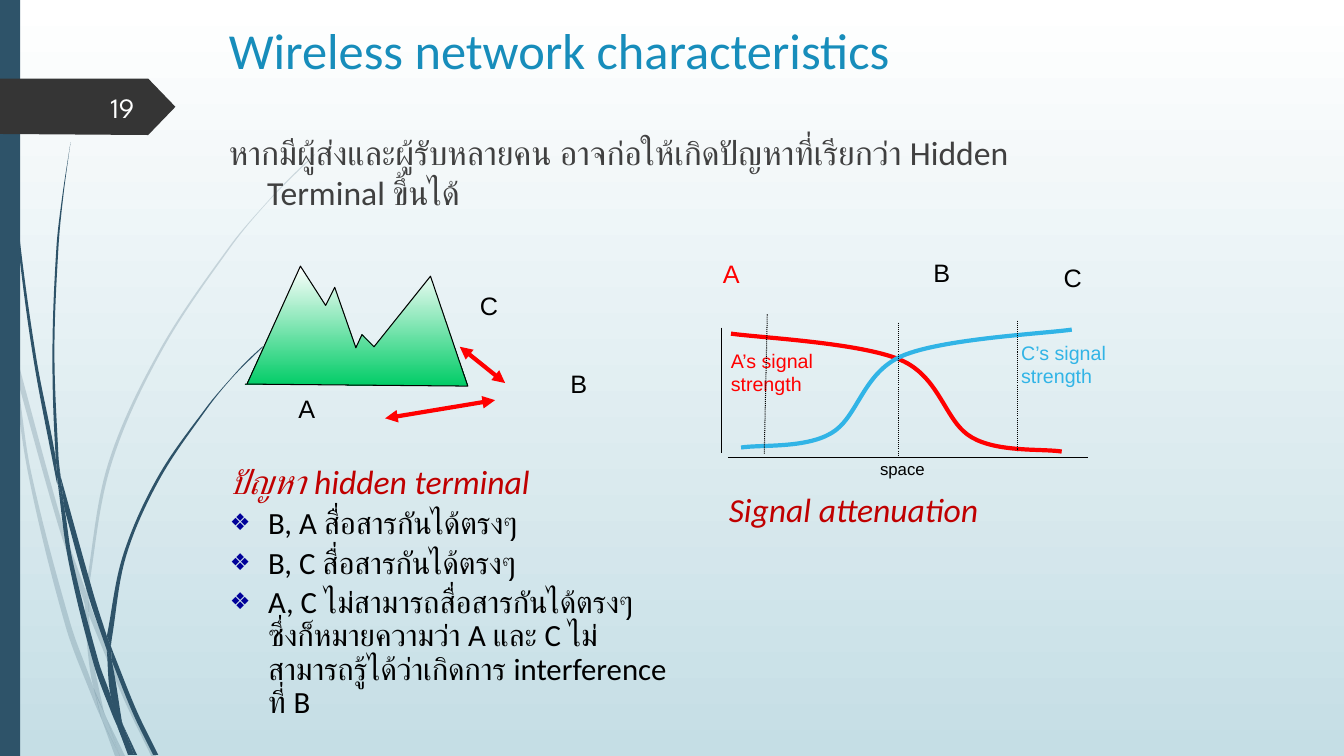
from math import dist

from lxml.etree import SubElement
from pptx import Presentation
from pptx.dml.color import RGBColor
from pptx.enum.dml import MSO_LINE
from pptx.enum.shapes import MSO_CONNECTOR, MSO_SHAPE
from pptx.enum.text import MSO_ANCHOR, MSO_AUTO_SIZE, PP_ALIGN
from pptx.oxml.ns import qn
from pptx.util import Inches, Pt

BLACK, RED, CRIMSON, SKY, NAVY = "000000", "FF0000", "C00000", "31B4E6", "2E5369"
HANGING = 0.38

PALE_STRANDS = [
    ([(0.11, 3.5), (0.09, 3.22), (0, 2.82)], [(0, 2.99), (0.1, 3.44), (0.11, 3.5)]),
    ([(0.14, 3.45), (0.62, 5.2), (0.85, 5.86)], [(0.84, 5.99), (0.58, 5.22), (0.17, 3.76)]),
    ([(0.88, 5.96), (0.92, 6.07), (1.27, 6.92), (1.55, 7.5)], [(1.5, 7.5), (1.23, 6.94), (0.88, 6.1)]),
    ([(1.05, 7.11), (1.24, 7.5)], [(1.19, 7.5), (1.05, 7.11)]),
    ([(0.11, 3.5), (0.17, 3.76), (0.31, 4.69), (0.7, 6.19), (0.93, 6.83), (1.01, 7.14)],
     [(1.01, 7.14), (0.92, 6.93), (0.65, 6.21), (0.28, 4.7), (0.11, 3.5)]),
    ([(0.84, 5.99), (0.87, 6.46), (0.93, 6.83), (1.05, 7.11)],
     [(1.05, 7.11), (1.03, 7.06), (0.91, 6.46), (0.88, 6.1), (0.84, 5.99)]),
    ([(3.12, 1.53), (2.89, 1.75), (2.68, 1.97), (2.28, 2.44), (1.58, 3.48), (1.07, 4.61), (0.85, 5.84)],
     [(0.88, 5.96), (0.88, 5.84), (1.1, 4.62), (1.6, 3.49), (2.29, 2.45), (2.68, 1.98), (3.12, 1.54)]),
    ([(1.01, 7.14), (1.14, 7.5)], [(1.19, 7.5), (1.01, 7.14)]),
    ([(0.88, 6.1), (0.88, 5.96), (0.85, 5.86)], [(0.84, 5.99), (0.88, 6.08)]),
    ([(0.93, 6.83), (0.99, 7.07), (1.01, 7.14), (1.19, 7.5)], [(1.19, 7.5), (1.05, 7.11), (0.93, 6.83)]),
]
DARK_STRANDS = [
    ([(0.04, 0), (0.05, 0.48), (0.08, 1.09), (0.19, 2.32), (0.36, 3.55), (0.55, 4.53), (0.57, 4.81)],
     [(0.56, 4.77), (0.33, 3.55), (0.17, 2.33), (0.07, 1.1), (0.04, 0.48), (0.03, 0)]),
    ([(0.6, 4.72), (0.93, 5.9), (1.06, 6.31)], [(1.06, 6.45), (0.88, 5.92), (0.64, 5.05)]),
    ([(1.1, 6.41), (1.13, 6.49), (1.36, 7.06), (1.57, 7.49)], [(1.52, 7.49), (1.32, 7.08), (1.11, 6.56)]),
    ([(0.57, 4.77), (0.64, 5.05), (0.72, 5.56), (0.98, 6.57), (1.1, 6.91), (1.17, 7.22)],
     [(1.17, 7.22), (1.11, 7.08), (0.93, 6.59), (0.68, 5.57), (0.57, 4.77)]),
    ([(0.7, 1.41), (0.62, 1.93), (0.56, 2.45), (0.52, 3.49), (0.55, 4.49), (0.6, 4.72)],
     [(0.6, 4.72), (0.58, 4.53), (0.54, 3.49), (0.58, 2.45), (0.63, 1.93), (0.7, 1.41)]),
    ([(1.22, 7.19), (1.36, 7.49)], [(1.33, 7.49), (1.22, 7.19)]),
    ([(0.57, 4.77), (0.64, 5.05)], [(0.6, 4.72), (0.55, 4.49)]),
    ([(2.6, 3.44), (2.45, 3.58), (2.31, 3.73), (2.04, 4.05), (1.56, 4.74), (1.22, 5.51), (1.06, 6.31)],
     [(1.1, 6.41), (1.11, 6.33), (1.25, 5.52), (1.58, 4.76), (2.05, 4.06), (2.31, 3.74), (2.61, 3.44)]),
    ([(1.17, 7.22), (1.27, 7.49)], [(1.31, 7.49), (1.17, 7.22)]),
    ([(1.06, 6.45), (1.1, 6.91), (1.22, 7.19)], [(1.21, 7.16), (1.11, 6.56), (1.06, 6.45)]),
    ([(1.06, 6.45), (1.11, 6.56)], [(1.1, 6.41), (1.06, 6.31)]),
    ([(1.1, 6.91), (1.17, 7.22), (1.3, 7.49)], [(1.33, 7.49), (1.22, 7.19), (1.1, 6.91)]),
]
TAG = [(0, 0.78), (1.47, 0.78), (1.74, 1.06), (1.47, 1.34), (0, 1.33)]
MOUNTAIN = [(2.45, 3.81), (2.98, 2.64), (3.23, 3.03), (3.32, 2.85), (3.53, 3.45), (3.59, 3.32),
            (3.71, 3.44), (4.27, 2.74), (4.64, 3.83), (2.43, 3.81)]
SIGNAL_A = [(7.25, 3.31), (7.53, 3.35), (8.53, 3.4), (8.93, 3.57), (9.33, 3.74), (9.37, 4.19),
            (9.64, 4.34), (9.9, 4.49), (10.34, 4.45), (10.53, 4.48)]
SIGNAL_C = [(17.88 - x, y - 0.04) for x, y in SIGNAL_A]


def rgb(value):
    """Return the colour for a hex string."""
    return RGBColor.from_string(value)


def smooth(anchors):
    """Return the Bezier control points of a smooth curve through the anchors."""
    padded = [anchors[0], *anchors, anchors[-1]]
    points = [anchors[0]]
    for a, b, c, d in zip(padded, padded[1:], padded[2:], padded[3:]):
        leave, arrive = dist(b, c) / 3 / dist(a, c), dist(b, c) / 3 / dist(b, d)
        points += [tuple(q + (r - p) * leave for p, q, r in zip(a, b, c)),
                   tuple(q - (r - p) * arrive for p, q, r in zip(b, c, d)), c]
    return points


def strand(outer, inner):
    """Return the control points of the outline between two edges."""
    join = [] if outer[-1] == inner[0] else [outer[-1], inner[0], inner[0]]
    return smooth(outer) + join + smooth(inner)[1:]


def fade(fill, top, bottom):
    """Fill with a gradient that runs downwards."""
    fill.gradient()
    fill.gradient_angle = 270
    for stop, colour in zip(fill.gradient_stops, (top, bottom)):
        stop.color.rgb = rgb(colour)


def paint(shape, fill=None, line=None, width=0.75, alpha=None):
    """Set fill, outline and opacity of a shape."""
    shape.shadow.inherit = False
    if fill:
        shape.fill.solid()
        shape.fill.fore_color.rgb = rgb(fill)
    else:
        shape.fill.background()
    if alpha:
        colour = shape.element.find(".//" + qn("a:srgbClr"))
        SubElement(colour, qn("a:alpha"), val=str(alpha * 1000))
    if line:
        shape.line.color.rgb = rgb(line)
        shape.line.width = Pt(width)
    else:
        shape.line.fill.background()


def add_outline(slide, points, close=True, curved=False, **look):
    """Draw a freeform through points, or with them as Bezier controls."""
    corners = [(Inches(x), Inches(y)) for x, y in points]
    builder = slide.shapes.build_freeform(*corners[0])
    builder.add_line_segments(corners[1:], close=close)
    shape = builder.convert_to_shape()
    if curved:
        segments = list(shape.element.iter(qn("a:lnTo")))
        for first, second, third in zip(segments[::3], segments[1::3], segments[2::3]):
            first.tag = qn("a:cubicBezTo")
            for segment in (second, third):
                first.append(segment[0])
                segment.getparent().remove(segment)
    paint(shape, **look)
    return shape


def add_line(slide, start, end, colour=BLACK, width=0.75, dash=None, arrows=False):
    """Draw a straight line, dotted or with two arrowheads if asked."""
    connector = slide.shapes.add_connector(MSO_CONNECTOR.STRAIGHT, *map(Inches, (*start, *end)))
    connector.line.color.rgb = rgb(colour)
    connector.line.width = Pt(width)
    if dash:
        connector.line.dash_style = dash
    properties = connector.element.spPr
    if arrows:
        for tag in ("a:headEnd", "a:tailEnd"):
            SubElement(properties.find(qn("a:ln")), qn(tag), type="triangle")
    SubElement(properties, qn("a:effectLst"))


def add_bullet(paragraph, symbol):
    """Give a paragraph a hanging indent and a bullet, or none."""
    properties = paragraph._p.get_or_add_pPr()
    properties.set("marL", str(Inches(HANGING)))
    properties.set("indent", str(-Inches(HANGING)))
    if symbol:
        SubElement(SubElement(properties, qn("a:buClr")), qn("a:srgbClr"), val="000099")
        SubElement(properties, qn("a:buSzPct"), val="75000")
        SubElement(properties, qn("a:buChar"), char=symbol)
    else:
        SubElement(properties, qn("a:buNone"))


def write(frame, text, size=18, font="Calibri", colour=BLACK, italic=False, align=PP_ALIGN.LEFT,
          hanging=False, bullet=None, spacing=1.0, before=0, more=False):
    """Write one paragraph per line of text into a frame."""
    for number, line in enumerate(text.split("\n")):
        first = number == 0 and not more
        paragraph = frame.paragraphs[0] if first else frame.add_paragraph()
        if hanging:
            add_bullet(paragraph, bullet)
        paragraph.alignment, paragraph.line_spacing = align, spacing
        paragraph.space_before = Pt(0 if first else before)
        run = paragraph.add_run()
        run.text = line
        run.font.size, run.font.name, run.font.italic = Pt(size), font, italic
        run.font.color.rgb = rgb(colour)


def add_text(slide, text, box, wrap=False, anchor=MSO_ANCHOR.TOP, **style):
    """Add a text box."""
    frame = slide.shapes.add_textbox(*map(Inches, box)).text_frame
    frame.word_wrap, frame.vertical_anchor = wrap, anchor
    write(frame, text, **style)


def place(placeholder, box):
    """Move a placeholder to the front at a box and return its text frame."""
    placeholder.left, placeholder.top, placeholder.width, placeholder.height = map(Inches, box)
    placeholder.element.getparent().append(placeholder.element)
    frame = placeholder.text_frame
    frame.word_wrap, frame.auto_size = True, MSO_AUTO_SIZE.NONE
    frame.vertical_anchor = MSO_ANCHOR.TOP
    return frame


def add_backdrop(slide):
    """Draw the background, the strands, the side bar and the number tag."""
    fade(slide.background.fill, "FFFFFF", "C5DEE5")
    for strands, alpha in ((PALE_STRANDS, 20), (DARK_STRANDS, None)):
        for edges in strands:
            add_outline(slide, strand(*edges), curved=True, fill=NAVY, alpha=alpha)
    bar = slide.shapes.add_shape(MSO_SHAPE.RECTANGLE, 0, 0, Inches(0.2), Inches(7.5))
    paint(bar, fill=NAVY)
    add_outline(slide, TAG, fill="353535")


def add_terminals(slide):
    """Draw the mountain between the terminals and their links."""
    mountain = add_outline(slide, MOUNTAIN, close=False, line=BLACK)
    fade(mountain.fill, "FFFFFF", "00CC66")
    for start, end in (((3.82, 4.15), (4.91, 3.97)), ((4.56, 3.44), (5.01, 3.8))):
        add_line(slide, start, end, RED, 3, arrows=True)
    for name, left, top in (("A", 2.86, 3.85), ("B", 5.56, 3.6), ("C", 4.66, 2.83)):
        add_text(slide, name, (left, top, 0.38, 0.4), font="Arial")


def add_attenuation(slide):
    """Draw the signal strength diagram."""
    for name, left, top, colour in (("A", 7.07, 2.51, RED), ("B", 9.16, 2.5, BLACK), ("C", 10.45, 2.55, BLACK)):
        add_text(slide, name, (left, top, 0.38, 0.4), font="Arial", colour=colour)
    add_line(slide, (7.22, 4.54), (10.79, 4.54))
    add_line(slide, (7.16, 3.25), (7.16, 4.49))
    add_text(slide, "space", (8.63, 4.5, 0.65, 0.3), size=12, font="Arial")
    for name, points, colour, left, top in (("A", SIGNAL_A, RED, 7.15, 3.41), ("C", SIGNAL_C, SKY, 10.03, 3.33)):
        add_outline(slide, points, close=False, curved=True, line=colour, width=3)
        add_text(slide, f"{name}’s signal\nstrength", (left, top, 1.1, 0.57), size=14, font="Arial", colour=colour)
    for start, end in (((7.61, 3.12), (7.58, 4.51)), ((8.91, 3.2), (8.91, 4.52)), ((10.09, 3.18), (10.09, 4.47))):
        add_line(slide, start, end, dash=MSO_LINE.ROUND_DOT)


def main():
    """Build the slide and save it."""
    presentation = Presentation()
    presentation.slide_width, presentation.slide_height = Inches(13.33), Inches(7.5)
    slide = presentation.slides.add_slide(presentation.slide_layouts[3])
    title, body, findings = slide.placeholders
    add_backdrop(slide)
    write(place(title, (2.17, 0.14, 8.5, 1.25)), "Wireless network characteristics", size=36, colour="178DBB")
    write(place(body, (2.17, 1.26, 8.5, 1.22)),
          "หากมีผู้ส่งและผู้รับหลายคน อาจก่อให้เกิดปัญหาที่เรียกว่า Hidden Terminal ขึ้นได้",
          size=24, colour="404040", hanging=True)
    add_terminals(slide)
    heading = {"size": 24, "colour": CRIMSON, "italic": True, "hanging": True, "spacing": 0.9}
    frame = place(findings, (2.18, 4.57, 4.54, 2.45))
    write(frame, "ปัญหา hidden terminal", **heading)
    write(frame, "B, A สื่อสารกันได้ตรงๆ\nB, C สื่อสารกันได้ตรงๆ\n"
          "A, C ไม่สามารถสื่อสารกันได้ตรงๆ ซึ่งก็หมายความว่า A และ C ไม่สามารถรู้ได้ว่าเกิดการ interference ที่ B",
          size=22, hanging=True, bullet="❖", spacing=0.9, before=4.4, more=True)
    add_attenuation(slide)
    add_text(slide, "Signal attenuation", (7.13, 4.85, 4.54, 1.46), wrap=True, **heading)
    add_text(slide, "19", (0.58, 0.86, 0.85, 0.4), wrap=True, anchor=MSO_ANCHOR.MIDDLE,
             size=20, font="League Spartan", colour="FEFFFF", align=PP_ALIGN.RIGHT)
    presentation.save("out.pptx")


if __name__ == "__main__":
    main()
